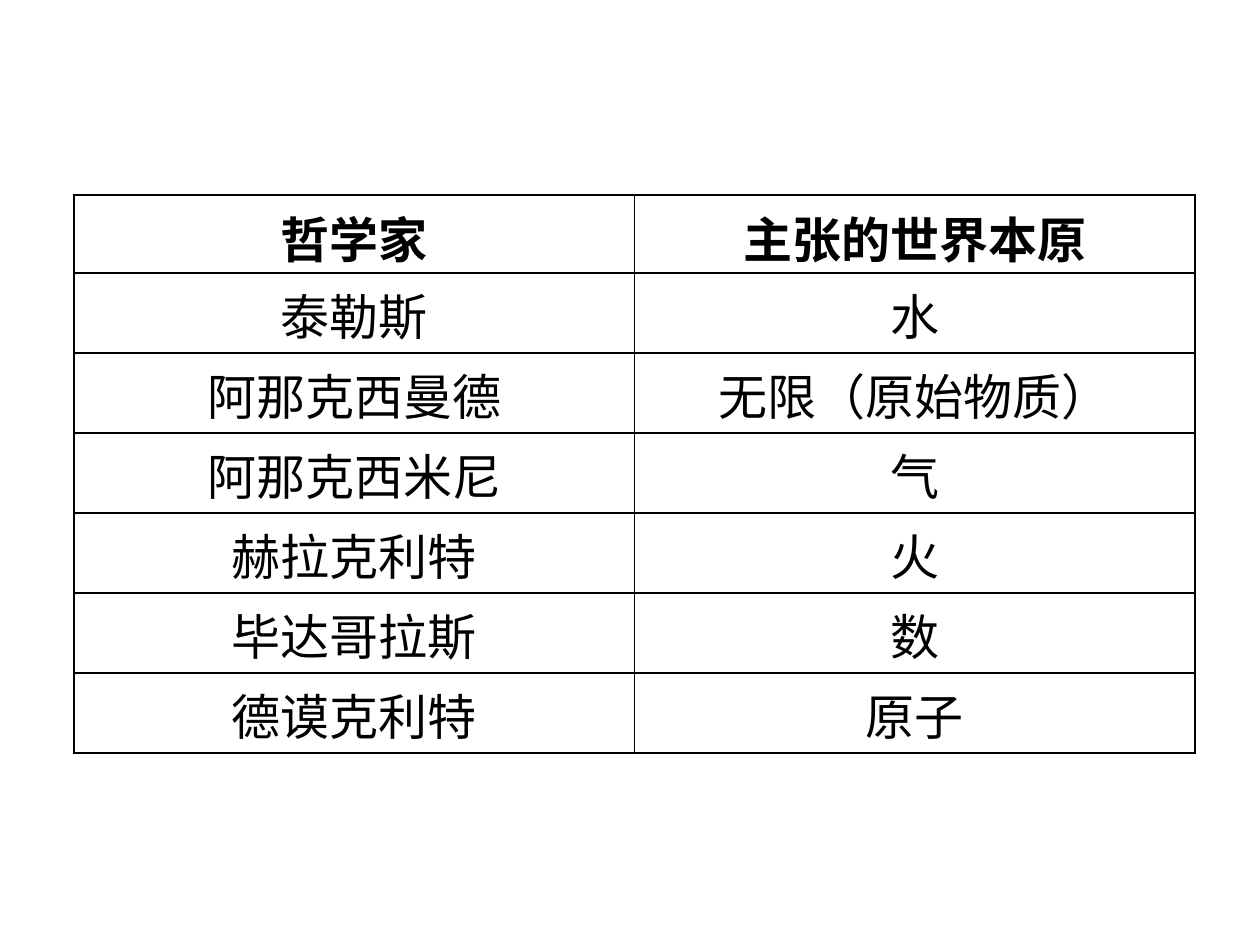
from pptx import Presentation
from pptx.dml.color import RGBColor
from pptx.enum.text import PP_ALIGN as Align
from pptx.oxml import parse_xml
from pptx.oxml.ns import nsdecls
from pptx.util import Pt

PX = 7257  # EMU in one px, at 126 px to the inch
FONT = {"name": "Calibri", "size": Pt(28)}
PARA = {"alignment": Align.CENTER, "space_before": Pt(0)}
ROWS = [
    ("哲学家", "主张的世界本原"),
    ("泰勒斯", "水"),
    ("阿那克西曼德", "无限（原始物质）"),
    ("阿那克西米尼", "气"),
    ("赫拉克利特", "火"),
    ("毕达哥拉斯", "数"),
    ("德谟克利特", "原子"),
]


def px(num):
    return num * PX


def tint(code):
    return RGBColor.from_string(code)


def apply(part, form):
    for key, value in form.items():
        setattr(part, key, value)


def frame(cell, code, width):
    """Draw a line on all four sides of a cell."""
    props = cell._tc.get_or_add_tcPr()
    for spot, side in enumerate(("lnL", "lnR", "lnT", "lnB")):
        props.insert(spot, parse_xml(
            f'<a:{side} {nsdecls("a")} w="{Pt(width)}"><a:solidFill>'
            f'<a:srgbClr val="{code}"/></a:solidFill></a:{side}>'))


def fill(cell, text, bold):
    cell.fill.background()
    apply(cell, {"margin_top": Pt(3.6), "margin_bottom": Pt(0)})
    para = cell.text_frame.paragraphs[0]
    apply(para, PARA)
    run = para.add_run()
    run.text = text
    apply(run.font, {**FONT, "bold": bold})
    run.font.color.rgb = tint("000000")
    frame(cell, "000000", 1)


def grid(slide, left, top, width, head, step):
    """Place the table of thinkers: a header row, then equal rows."""
    high = head + step * (len(ROWS) - 1)
    table = slide.shapes.add_table(
        len(ROWS), 2, px(left), px(top), px(width), px(high)).table
    apply(table, {"first_row": False, "horz_banding": False})
    for row, texts in enumerate(ROWS):
        table.rows[row].height = px(step if row else head)
        for col, text in enumerate(texts):
            fill(table.cell(row, col), text, row == 0)


def main():
    deck = Presentation()
    apply(deck, {"slide_width": px(1260), "slide_height": px(945)})
    slide = deck.slides.add_slide(deck.slide_layouts[6])
    grid(slide, 74, 195, 1121, 78, 80)
    deck.save("out.pptx")


if __name__ == "__main__":
    main()
